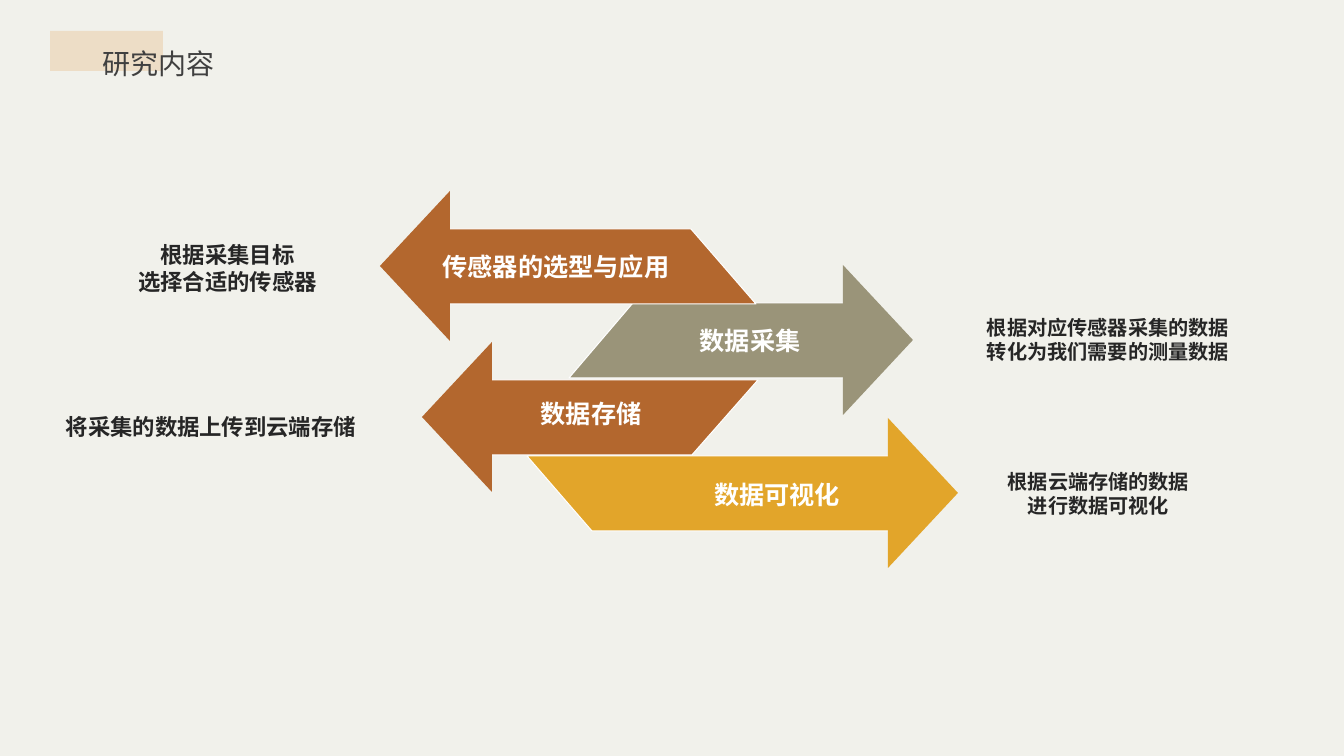
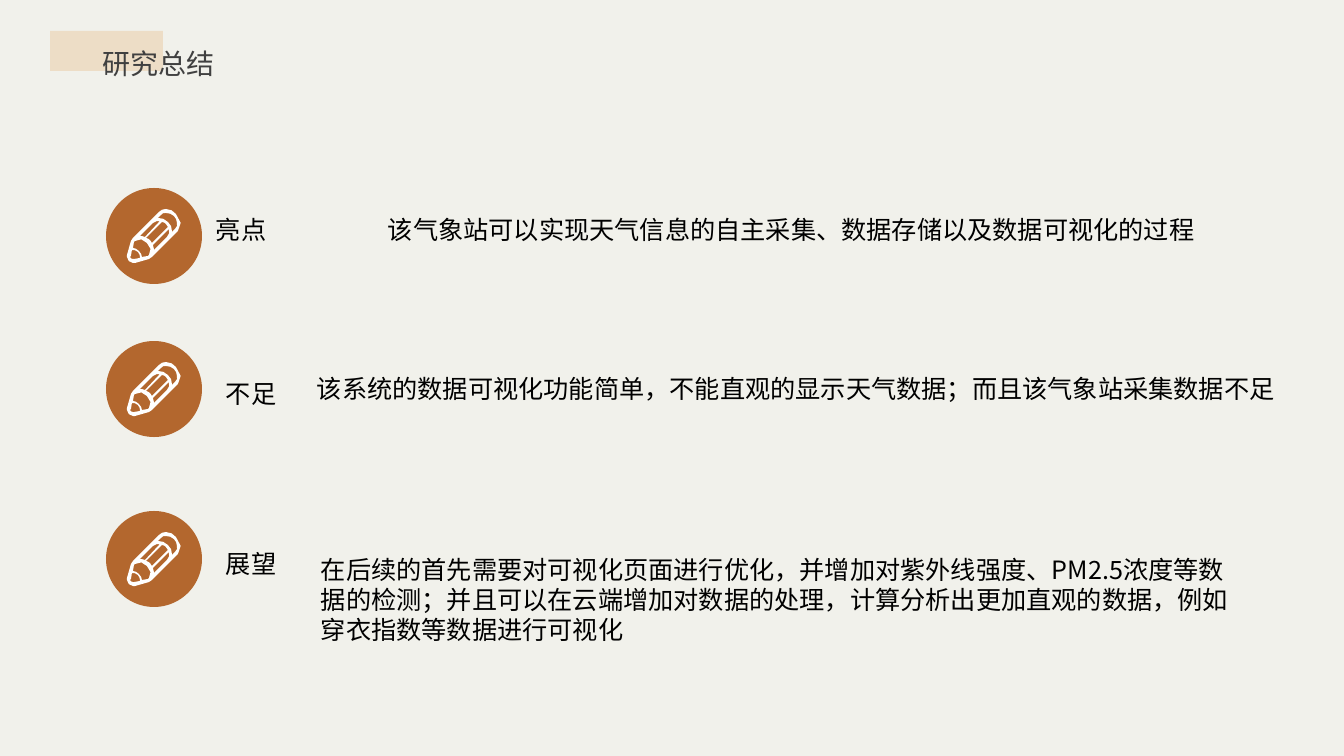
import pptx
import pptx.util
import pptx.dml.color
import pptx.enum.shapes
import pptx.enum.text
import pptx.oxml.ns
import lxml.etree

PX = 12192000 / 1344
FONT = "Noto Sans CJK SC"
PAPER, BAND, TITLE_INK = "F1F1EB", "EDDDC6", "404040"
RUST, OLIVE, AMBER = "B3672E", "9A9479", "E2A52A"
WHITE, BLACK, NOTE_INK = "FFFFFF", "000000", "262626"
ALIGN = pptx.enum.text.PP_ALIGN
ANCHOR = pptx.enum.text.MSO_ANCHOR
SHAPE = pptx.enum.shapes.MSO_SHAPE

# Pencil contours: a pair is a point, six numbers are a cubic curve
PENCIL = [
    # eraser
    [(48, 20), (45, 23), (45, 22), (45, 19, 44, 15, 41, 13), (38, 10, 35, 9, 31, 9),
     (34, 6), (35, 4, 37, 4, 39, 4), (42, 4, 45, 5, 47, 7), (49, 9, 50, 11, 50, 14),
     (51, 16, 50, 18, 48, 20)],
    # sharpened wood
    [(15, 48), (15, 46, 14, 44, 12, 42), (10, 40, 8, 39, 6, 39), (7, 33), (8, 32),
     (12, 29, 17, 30, 20, 34), (24, 37, 25, 43, 22, 46), (21, 47)],
    # tip
    [(7, 50), (6, 50), (5, 50, 3, 49, 3, 48), (4, 47), (5, 41),
     (7, 41, 9, 41, 11, 43), (13, 45, 13, 47, 13, 49)],
    # three stripes of the barrel
    [(18, 28), (16, 27, 14, 27, 13, 27), (26, 14), (28, 12, 31, 12, 33, 12)],
    [(25, 34), (24, 33, 24, 32, 23, 31), (22, 30, 20, 29, 19, 29), (35, 13),
     (37, 13, 38, 14, 39, 15), (40, 16, 40, 17, 41, 18)],
    [(27, 40), (27, 39, 26, 37, 26, 36), (42, 20), (43, 23, 42, 26, 40, 28), (27, 41)],
    # outer edge
    [(49, 5), (47, 2, 43, 0, 39, 0), (36, 0, 34, 1, 32, 3), (6, 29),
     (5, 30, 5, 31, 4, 32), (0, 46), (0, 48), (0, 51, 3, 54, 6, 54),
     (8, 54), (22, 50), (23, 49, 24, 49, 25, 48), (51, 22),
     (55, 18, 55, 10, 49, 5)],
]

# Tip x, tail x at top and bottom, shaft top, colour, label and its left, top, width
ARROWS = [
    (0, 311, 376, 38, RUST, "传感器的选型与应用", (49, 55, 254)),
    (533, 253, 189, 112, OLIVE, "数据采集", (276, 129, 188)),
    (42, 378, 312, 189, RUST, "数据存储", (117, 202, 188)),
    (578, 147, 212, 265, AMBER, "数据可视化", (303, 283, 188)),
]

NOTES = [
    ((92, 237, 271, 58), 16, "根据采集目标\n选择合适的传感器"),
    ((61, 394, 300, 46), 16, "将采集的数据上传到云端存储"),
    ((978, 318, 260, 46), 14.4, "根据对应传感器采集的数据\n转化为我们需要的测量数据"),
    ((989, 472, 219, 46), 14.4, "根据云端存储的数据\n进行数据可视化"),
]

# Row top, heading and its offset, statement and its offset and size
SUMMARY = [
    (188, "亮点", (100, 21),
     "该气象站可以实现天气信息的自主采集、数据存储以及数据可视化的过程",
     (272, 21, 844, 40)),
    (341, "不足", (110, 32),
     "该系统的数据可视化功能简单，不能直观的显示天气数据；而且该气象站采集数据不足",
     (201, 27, 986, 40)),
    (511, "展望", (110, 32),
     "在后续的首先需要对可视化页面进行优化，并增加对紫外线强度、PM2.5浓度等数据的检测；"
     "并且可以在云端增加对数据的处理，计算分析出更加直观的数据，例如穿衣指数等数据进行可视化",
     (205, 38, 937, 102)),
]


def emu(px):
    return pptx.util.Emu(round(px * PX))


def rgb(value):
    return pptx.dml.color.RGBColor.from_string(value)


def paint(shape, fill, edge=None):
    shape.shadow.inherit = False
    shape.fill.solid()
    shape.fill.fore_color.rgb = rgb(fill)
    if edge:
        shape.line.color.rgb = rgb(edge)
        shape.line.width = pptx.util.Pt(0.75)
    else:
        shape.line.fill.background()


def write(frame, text, size, color, align=ALIGN.LEFT, bold=False):
    frame.text = text
    for paragraph in frame.paragraphs:
        paragraph.alignment = align
        for run in paragraph.runs:
            run.font.size = pptx.util.Pt(size)
            run.font.bold = bold
            run.font.color.rgb = rgb(color)
            run.font.name = FONT
            east_asian = lxml.etree.SubElement(
                run.font._element, pptx.oxml.ns.qn("a:ea"))
            east_asian.set("typeface", FONT)


def add_text(slide, box, text, size, color, **style):
    frame = slide.shapes.add_textbox(*map(emu, box)).text_frame
    frame.word_wrap = True
    write(frame, text, size, color, **style)
    return frame


def add_preset(slide, preset, box, fill):
    paint(slide.shapes.add_shape(preset, *map(emu, box)), fill)


def flatten(contour, steps=2):
    """Turn a contour's curves into short straight segments."""
    points = [contour[0]]
    for part in contour[1:]:
        if len(part) == 2:
            points.append(part)
            continue
        corners = [points[-1], part[:2], part[2:4], part[4:]]
        for step in range(1, steps + 1):
            t = step / steps
            weights = ((1 - t) ** 3, 3 * t * (1 - t) ** 2, 3 * t * t * (1 - t), t ** 3)
            points.append(tuple(sum(w * c[axis] for w, c in zip(weights, corners))
                                for axis in (0, 1)))
    return points


def add_outline(slide, left, top, contours, fill, edge=None):
    builder = None
    for contour in contours:
        points = [(emu(x), emu(y)) for x, y in flatten(contour)]
        if builder is None:
            builder = slide.shapes.build_freeform(*points[0], scale=1.0)
        else:
            builder.move_to(*points[0])
        builder.add_line_segments(points[1:], close=True)
    paint(builder.convert_to_shape(emu(left), emu(top)), fill, edge)


def add_titled_slide(deck, title):
    slide = deck.slides.add_slide(deck.slide_layouts[5])
    heading = slide.shapes.title
    heading.left, heading.top, heading.width, heading.height = map(emu, (92, 25, 158, 60))
    frame = heading.text_frame
    frame.word_wrap = True
    frame.auto_size = pptx.enum.text.MSO_AUTO_SIZE.NONE
    frame.vertical_anchor = ANCHOR.TOP
    write(frame, title, 20, TITLE_INK, align=ALIGN.JUSTIFY)
    frame.paragraphs[0].line_spacing = 1.5
    # Tinted band, behind the title
    add_preset(slide, SHAPE.RECTANGLE, (50, 31, 113, 40), BAND)
    band = slide.shapes[-1]._element
    heading._element.addprevious(band)
    return slide


def add_arrow(slide, left, top, tip, tail_top, tail_bottom, shaft_top, color):
    shaft_height, head_length, head_half, overlap = 75, 70, 75, 8
    toward_tail = 1 if tail_top > tip else -1
    neck = tip + toward_tail * head_length
    shaft_end = neck - toward_tail * overlap
    shaft_bottom = shaft_top + shaft_height
    middle = shaft_top + shaft_height // 2
    shaft = [(shaft_end, shaft_top), (tail_top, shaft_top),
             (tail_bottom, shaft_bottom), (shaft_end, shaft_bottom)]
    head = [(tip, middle), (neck, middle - head_half), (neck, middle + head_half)]
    add_outline(slide, left, top, [shaft], color, WHITE)
    add_outline(slide, left, top, [head], color)


def add_arrow_stack(slide, left, top):
    # Upper arrows overlap lower ones
    for *geometry, _, _ in reversed(ARROWS):
        add_arrow(slide, left, top, *geometry)
    for *_, label, (x, y, width) in ARROWS:
        add_text(slide, (left + x, top + y, width, 40), label, 18, WHITE,
                 align=ALIGN.CENTER, bold=True)


def add_note(slide, box, size, text):
    frame = add_text(slide, box, text, size, NOTE_INK, align=ALIGN.CENTER, bold=True)
    frame.vertical_anchor = ANCHOR.BOTTOM
    frame.margin_left = frame.margin_right = frame.margin_top = frame.margin_bottom = 0


def add_summary_row(slide, left, top, heading, heading_at, statement, statement_box):
    add_preset(slide, SHAPE.OVAL, (left, top, 96, 96), RUST)
    add_outline(slide, left + 21, top + 21, PENCIL, WHITE)
    x, y = heading_at
    add_text(slide, (left + x, top + y, 73, 40), heading, 18, BLACK)
    x, y, width, height = statement_box
    add_text(slide, (left + x, top + y, width, height), statement, 18, BLACK)


def build_content_slide(deck):
    slide = add_titled_slide(deck, "研究内容")
    add_arrow_stack(slide, 380, 191)
    for note in NOTES:
        add_note(slide, *note)


def build_summary_slide(deck):
    slide = add_titled_slide(deck, "研究总结")
    for row in SUMMARY:
        add_summary_row(slide, 106, *row)


def main():
    deck = pptx.Presentation()
    deck.slide_width, deck.slide_height = emu(1344), emu(756)
    paper = deck.slide_master.background.fill
    paper.solid()
    paper.fore_color.rgb = rgb(PAPER)
    build_content_slide(deck)
    build_summary_slide(deck)
    deck.save("out.pptx")


if __name__ == "__main__":
    main()
